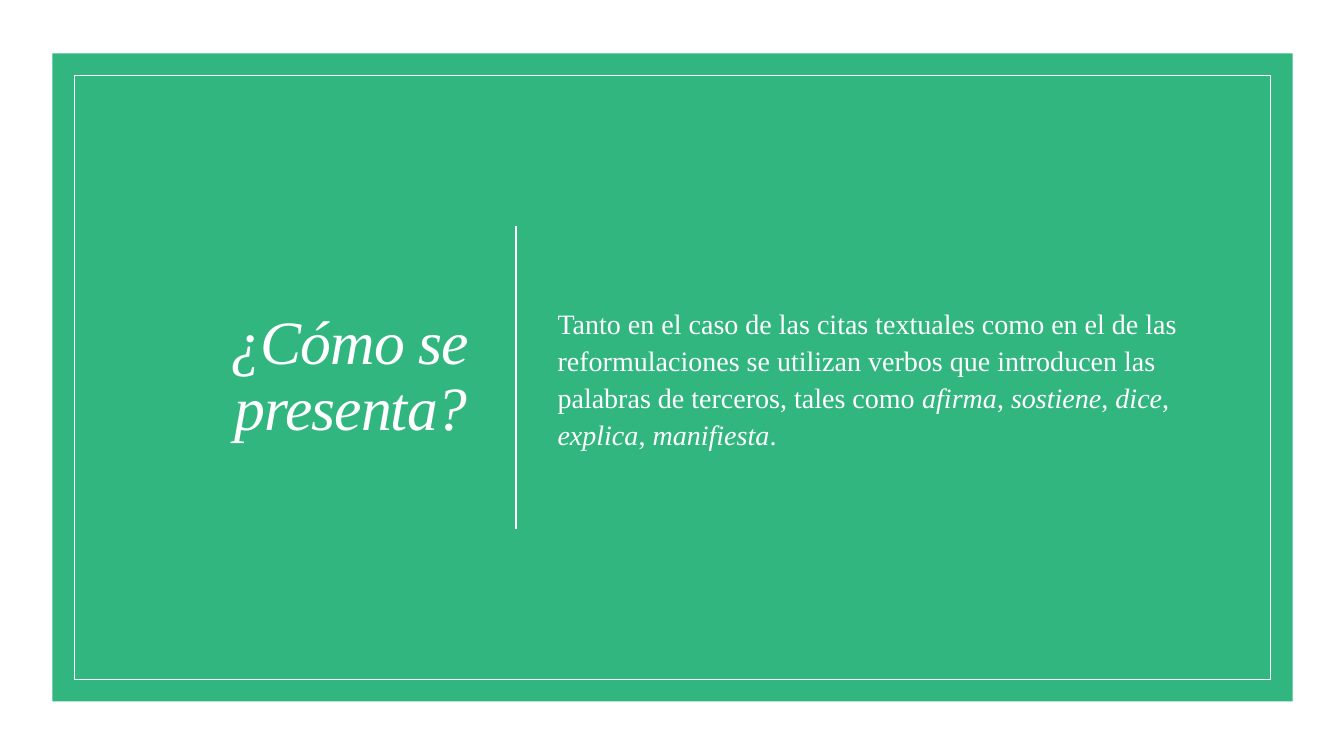
from pptx import Presentation
from pptx.dml.color import RGBColor
from pptx.enum.shapes import MSO_CONNECTOR, MSO_SHAPE
from pptx.enum.text import MSO_ANCHOR, MSO_AUTO_SIZE, PP_ALIGN
from pptx.oxml.ns import qn
from pptx.util import Inches, Pt

RECTANGLE = MSO_SHAPE.RECTANGLE
STRAIGHT = MSO_CONNECTOR.STRAIGHT
MIDDLE = MSO_ANCHOR.MIDDLE
NO_AUTOFIT = MSO_AUTO_SIZE.NONE
LEFT, RIGHT = PP_ALIGN.LEFT, PP_ALIGN.RIGHT

COLORS = {"white": "FFFFFF", "green": "31B680"}
FONT = "Times New Roman"
SLIDE_WIDTH, SLIDE_HEIGHT = 13.33, 7.5
PANEL = (0.52, 0.53, 12.3, 6.43)

TITLE = "¿Cómo se presenta?"
INTRO = ("Tanto en el caso de las citas textuales como en el de las reformulaciones "
         "se utilizan verbos que introducen las palabras de terceros, tales como ")
VERBS = ["afirma", "sostiene", "dice", "explica", "manifiesta"]


def color(name):
    return RGBColor.from_string(COLORS[name])


def add_rectangle(page, box, fill=None, line=None, width=0.5):
    shape = page.shapes.add_shape(RECTANGLE, *map(Inches, box))
    shape.shadow.inherit = False
    if fill:
        shape.fill.solid()
        shape.fill.fore_color.rgb = color(fill)
    else:
        shape.fill.background()
    if line:
        shape.line.color.rgb = color(line)
        shape.line.width = Pt(width)
    else:
        shape.line.fill.background()


def add_panel(page, box):
    """Draw the green panel, its thin inner frame and the divider."""
    left, top, width, height = box
    add_rectangle(page, box, fill="green")

    divider_x, middle, half = left + 4.6, top + height / 2, 1.5
    divider = page.shapes.add_connector(
        STRAIGHT, Inches(divider_x), Inches(middle - half),
        Inches(divider_x), Inches(middle + half))
    divider.line.color.rgb = color("white")
    divider.line.width = Pt(1.25)
    properties = divider._element.spPr
    properties.append(properties.makeelement(qn("a:effectLst"), {}))

    inset = 0.215
    frame = (left + inset, top + inset, width - 2 * inset, height - 2 * inset)
    add_rectangle(page, frame, line="white")


def write_text(holder, box, spans, size, align=LEFT, line_spacing=1.0,
               space_before=0, tracking=0):
    """Fill a placeholder with one paragraph of (text, italic) spans."""
    holder.left, holder.top, holder.width, holder.height = map(Inches, box)
    frame = holder.text_frame
    frame.word_wrap = True
    frame.auto_size = NO_AUTOFIT
    frame.vertical_anchor = MIDDLE
    para = frame.paragraphs[0]
    para.alignment = align
    para.line_spacing = line_spacing
    para.space_before = Pt(space_before)
    settings = para._p.get_or_add_pPr()
    settings.set("marL", "0")
    settings.set("indent", "0")
    settings.append(settings.makeelement(qn("a:buNone"), {}))
    for text, italic in spans:
        span = para.add_run()
        span.text = text
        span.font.name = FONT
        span.font.size = Pt(size)
        span.font.italic = italic
        span.font.color.rgb = color("white")
        if tracking:
            span._r.get_or_add_rPr().set("spc", str(round(tracking * 100)))


def add_texts(page, box):
    """Place the title left of the divider and the body right of it."""
    left, top, _, height = box
    text_top, text_height = top + 0.56, height - 1.12
    title, body = page.shapes.title, page.placeholders[1]
    for holder in (title, body):
        page.shapes._spTree.append(holder._element)

    write_text(title, (left + 0.43, text_top, 3.79, text_height),
               [(TITLE, True)], size=44, align=RIGHT,
               line_spacing=0.9, tracking=-0.7)

    spans = [(INTRO, False)]
    for verb in VERBS:
        spans += [(verb, True), ("." if verb == VERBS[-1] else ", ", False)]
    write_text(body, (left + 4.91, text_top, 6.79, text_height),
               spans, size=20, line_spacing=1.1, space_before=9)


def main():
    deck = Presentation()
    deck.slide_width, deck.slide_height = Inches(SLIDE_WIDTH), Inches(SLIDE_HEIGHT)
    page = deck.slides.add_slide(deck.slide_layouts[1])
    add_rectangle(page, (0, 0, SLIDE_WIDTH, SLIDE_HEIGHT), fill="white")
    add_panel(page, PANEL)
    add_texts(page, PANEL)
    deck.save("out.pptx")


if __name__ == "__main__":
    main()
